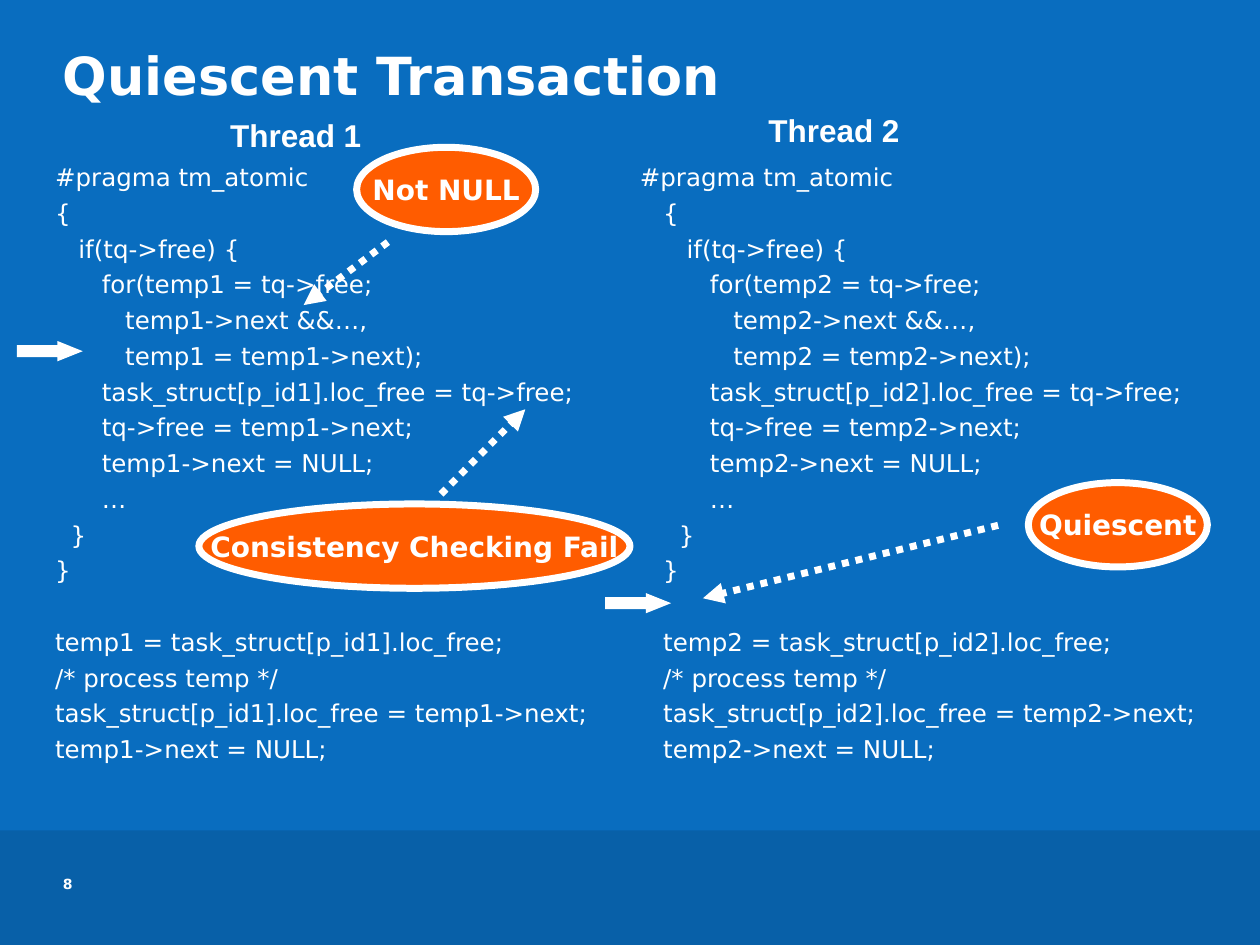
"""Build the slide on a quiescent transaction running in two threads."""
from typing import NamedTuple

from lxml import etree
from pptx import Presentation
from pptx.dml.color import RGBColor
from pptx.enum.dml import MSO_LINE
from pptx.enum.shapes import MSO_CONNECTOR, MSO_SHAPE
from pptx.enum.text import MSO_ANCHOR, MSO_AUTO_SIZE, PP_ALIGN
from pptx.oxml.ns import qn
from pptx.util import Cm, Pt

RECTANGLE = MSO_SHAPE.RECTANGLE
ELLIPSE = MSO_SHAPE.OVAL
RIGHT_ARROW = MSO_SHAPE.RIGHT_ARROW
STRAIGHT = MSO_CONNECTOR.STRAIGHT
DOTTED = MSO_LINE.ROUND_DOT
MIDDLE = MSO_ANCHOR.MIDDLE
CENTER = PP_ALIGN.CENTER
FIT_SHAPE = MSO_AUTO_SIZE.SHAPE_TO_FIT_TEXT

WHITE, BLUE, DARK_BLUE = "FFFFFF", "096DBF", "0860A8"
ORANGE, PALE_BLUE = "FF5C00", "A6CAE1"
SANS, HEADING_FONT = "DejaVu Sans", "Arial"
OUTLINE = Pt(4)
INDENT_STEP = 0.157
LINE_GAP, SECTION_GAP = 7, 27.4


class Box(NamedTuple):
    left: float
    top: float
    width: float
    height: float


class Thread(NamedTuple):
    number: int
    heading: Box
    code: Box
    pragma_indent: int


class Callout(NamedTuple):
    label: str
    box: Box
    start: tuple[float, float]
    end: tuple[float, float]


class CodeLine(NamedTuple):
    indent: int
    text: str
    gap: float = LINE_GAP


THREADS = [
    Thread(1, Box(4.39, 2.21, 3.15, 1.02), Box(0.64, 3.38, 11.85, 12.06), 3),
    Thread(2, Box(15.24, 2.11, 3.15, 1.02), Box(12.9, 3.38, 11.85, 12.06), 0),
]
CALLOUTS = [
    Callout("Not NULL", Box(7.19, 2.97, 3.61, 1.7), (7.82, 4.88), (6.12, 6.15)),
    Callout("Consistency Checking Fail", Box(4.01, 10.16, 8.69, 1.7), (8.89, 9.96), (10.59, 8.25)),
    Callout("Quiescent", Box(20.73, 9.73, 3.61, 1.7), (20.12, 10.59), (14.17, 12.06)),
]
POINTERS = [Box(0.41, 6.98, 1.07, 0.2), Box(12.27, 12.06, 1.07, 0.2)]


def color(value: str) -> RGBColor:
    """Turn a hex string into a colour."""
    return RGBColor.from_string(value)


def lengths(box: Box) -> list[Cm]:
    """Give the sides of a box in centimetres."""
    return [Cm(side) for side in box]


def style(paragraph, size: float, font: str = SANS, bold: bool = True) -> None:
    """Set the font of a paragraph in white."""
    paragraph.font.size = Pt(size)
    paragraph.font.name = font
    paragraph.font.bold = bold
    paragraph.font.color.rgb = color(WHITE)


def add_frame(slide, box: Box, top_inset: float = 0):
    """Add a wrapping text box without side margins."""
    frame = slide.shapes.add_textbox(*lengths(box)).text_frame
    frame.word_wrap = True
    frame.margin_left = frame.margin_right = frame.margin_bottom = 0
    frame.margin_top = Cm(top_inset)
    return frame


def add_label(slide, text: str, box: Box, size: float, top_inset: float = 0) -> None:
    """Add one bold line of text."""
    paragraph = add_frame(slide, box, top_inset).paragraphs[0]
    paragraph.text = text
    style(paragraph, size)


def add_filled(slide, kind, box: Box, fill: str, outlined: bool = True):
    """Add a filled shape, with a white outline if wanted."""
    shape = slide.shapes.add_shape(kind, *lengths(box))
    shape.shadow.inherit = False
    shape.fill.solid()
    shape.fill.fore_color.rgb = color(fill)
    if outlined:
        shape.line.color.rgb = color(WHITE)
        shape.line.width = OUTLINE
    else:
        shape.line.fill.background()
    return shape


def code_lines(thread: Thread) -> list[CodeLine]:
    """List the code that a thread runs."""
    temp = f"temp{thread.number}"
    local = f"task_struct[p_id{thread.number}].loc_free"
    return [
        CodeLine(thread.pragma_indent, "#pragma tm_atomic"),
        CodeLine(3, "{"),
        CodeLine(6, "if(tq->free) {"),
        CodeLine(9, f"for({temp} = tq->free;"),
        CodeLine(12, f"{temp}->next &&…,"),
        CodeLine(12, f"{temp} = {temp}->next);"),
        CodeLine(9, f"{local} = tq->free;"),
        CodeLine(9, f"tq->free = {temp}->next;"),
        CodeLine(9, f"{temp}->next = NULL;"),
        CodeLine(9, "…"),
        CodeLine(5, "}"),
        CodeLine(3, "}"),
        CodeLine(3, f"{temp} = {local};", SECTION_GAP),
        CodeLine(3, "/* process temp */"),
        CodeLine(3, f"{local} = {temp}->next;"),
        CodeLine(3, f"{temp}->next = NULL;"),
    ]


def add_thread(slide, thread: Thread) -> None:
    """Add the heading and the code of a thread."""
    frame = add_frame(slide, thread.code)
    for index, line in enumerate(code_lines(thread)):
        paragraph = frame.add_paragraph() if index else frame.paragraphs[0]
        paragraph.text = line.text
        paragraph.line_spacing = 0.8
        paragraph.space_before = Pt(line.gap)
        paragraph._p.get_or_add_pPr().set("marL", str(Cm(line.indent * INDENT_STEP)))
        style(paragraph, 14, bold=False)
    heading = slide.shapes.add_textbox(*lengths(thread.heading)).text_frame
    heading.word_wrap = False
    heading.auto_size = FIT_SHAPE
    heading.text = f"Thread {thread.number}"
    style(heading.paragraphs[0], 18, HEADING_FONT)


def add_pointer(slide, box: Box) -> None:
    """Add a block arrow that marks the current line."""
    pointer = add_filled(slide, RIGHT_ARROW, box, PALE_BLUE)
    pointer.adjustments[0] = 0.5
    pointer.adjustments[1] = 1.25
    etree.SubElement(pointer.line._get_or_add_ln(), qn("a:miter"), lim="800000")


def add_callout(slide, callout: Callout) -> None:
    """Add a labelled ellipse and its dotted arrow."""
    arrow = slide.shapes.add_connector(
        STRAIGHT, *(Cm(value) for value in callout.start + callout.end))
    arrow.line.color.rgb = color(WHITE)
    arrow.line.width = OUTLINE
    arrow.line.dash_style = DOTTED
    etree.SubElement(arrow.line._get_or_add_ln(), qn("a:tailEnd"), type="triangle")
    etree.SubElement(arrow._element.spPr, qn("a:effectLst"))
    frame = add_filled(slide, ELLIPSE, callout.box, ORANGE).text_frame
    frame.word_wrap = False
    frame.vertical_anchor = MIDDLE
    frame.text = callout.label
    frame.paragraphs[0].alignment = CENTER
    style(frame.paragraphs[0], 16)


def main() -> None:
    """Build and save the slide."""
    deck = Presentation()
    deck.slide_width, deck.slide_height = Cm(25.4), Cm(19.05)
    slide = deck.slides.add_slide(deck.slide_layouts[6])
    slide.background.fill.solid()
    slide.background.fill.fore_color.rgb = color(BLUE)
    add_filled(slide, RECTANGLE, Box(0, 16.74, 25.4, 2.31), DARK_BLUE, outlined=False)
    add_label(slide, "Quiescent Transaction", Box(1.27, 0.76, 22.89, 2.46), 30, top_inset=0.1)
    for thread in THREADS:
        add_thread(slide, thread)
    for pointer in POINTERS:
        add_pointer(slide, pointer)
    for callout in CALLOUTS:
        add_callout(slide, callout)
    add_label(slide, "8", Box(1.27, 17.65, 1.14, 0.84), 8)
    deck.save("out.pptx")


if __name__ == "__main__":
    main()
